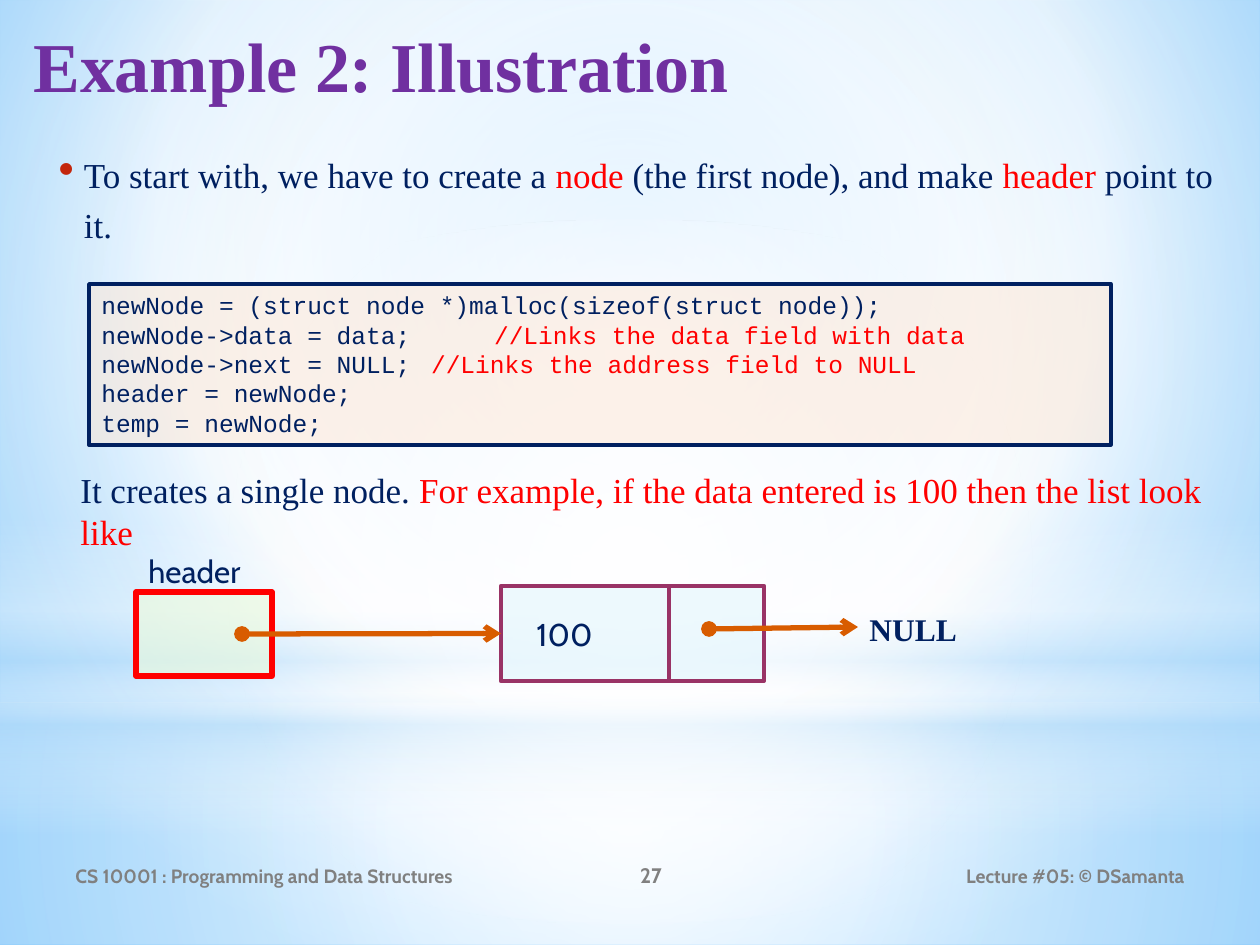
"""Build the slide that shows how the first node of a linked list is made."""
from dataclasses import dataclass, field
from typing import Any

from lxml import etree
from pptx import Presentation
from pptx import util as u
from pptx.dml.color import RGBColor
from pptx.enum import shapes, text
from pptx.oxml import ns

SCALE = 914400 / 126
NAVY = RGBColor(0x00, 0x20, 0x60)
RED = RGBColor(0xFF, 0x00, 0x00)
PURPLE = RGBColor(0x70, 0x30, 0xA0)
GREY = RGBColor(0x80, 0x80, 0x80)
PLUM = RGBColor(0x99, 0x33, 0x66)
RUST = RGBColor(0xD8, 0x5C, 0x00)
BRICK = RGBColor(0xC3, 0x26, 0x0C)
PEACH = RGBColor(0xFF, 0xE6, 0xD3)
ICE = RGBColor(0xDF, 0xF5, 0xFD)
LIME = RGBColor(0xED, 0xFB, 0xDC)
WHITE = RGBColor(0xFF, 0xFF, 0xFF)
SKY = RGBColor(0xB4, 0xDC, 0xFA)
PALE = RGBColor(0x9E, 0xD5, 0xFF)
AZURE = RGBColor(0x5B, 0xB9, 0xFF)

RECT = shapes.MSO_SHAPE.RECTANGLE
OVAL = shapes.MSO_SHAPE.OVAL
LEFT, MID, RIGHT = text.PP_ALIGN.LEFT, text.PP_ALIGN.CENTER, text.PP_ALIGN.RIGHT
GROW = {"auto_size": text.MSO_AUTO_SIZE.SHAPE_TO_FIT_TEXT}
CENTRE = {"vertical_anchor": text.MSO_ANCHOR.MIDDLE}

Area = tuple[int, int, int, int]
Stop = tuple[int, RGBColor, int]
Part = tuple[str, RGBColor]


@dataclass
class Glow:
    area: Area
    stops: list[Stop]
    focus: Area | None = (50, 50, 50, 50)
    kind: Any = RECT


@dataclass
class Box:
    area: Area
    fill: RGBColor
    alpha: int
    edge: RGBColor
    width: float


@dataclass
class Label:
    area: Area
    lines: list[list[Part]]
    size: int
    face: str = "Times New Roman"
    bold: bool = False
    align: Any = LEFT
    frame: dict = field(default_factory=dict)


@dataclass
class Link:
    start: tuple[int, int]
    end: tuple[int, int]
    color: RGBColor
    width: float
    arrow: bool = True


GLOWS = [
    Glow((0, 703, 1260, 242), [(0, WHITE, 91), (37, WHITE, 76), (100, SKY, 79)]),
    Glow((0, 0, 1260, 703), [(0, WHITE, 89), (48, WHITE, 62), (100, SKY, 79)]),
    Glow((0, 519, 1260, 315), [(0, WHITE, 0), (29, WHITE, 30), (45, SKY, 40),
                               (55, WHITE, 26), (65, SKY, 60), (100, WHITE, 0)], None),
    Glow((0, 220, 1260, 703), [(0, WHITE, 100), (56, WHITE, 0)], kind=OVAL),
]
FOOT = [
    Label((63, 850, 462, 51), [[("CS 10001 : Programming and Data Structures", GREY)]],
          11, "Cabin", True, LEFT, CENTRE),
    Label((525, 850, 252, 51), [[("27", GREY)]], 12, "Cabin", True, MID, CENTRE),
    Label((850, 850, 347, 51), [[("Lecture #05: © DSamanta", GREY)]],
          11, "Cabin", True, RIGHT, CENTRE),
]
INTRO = Label((40, 139, 1201, 139), [[
    ("To start with, we have to create a ", NAVY), ("node", RED),
    (" (the first node), and make ", NAVY), ("header", RED), (" point to it.", NAVY)]], 20)
CODE = Label((89, 284, 1022, 161), [
    [("newNode = (struct node *)malloc(sizeof(struct node));", NAVY)],
    [("newNode->data = data; \t ", NAVY), ("//Links the data field with data", RED)],
    [("newNode->next = NULL;\t ", NAVY), ("//Links the address field to NULL", RED)],
    [("header = newNode;", NAVY)],
    [("temp = newNode;", NAVY)]], 14, "Courier New", frame=GROW)
PANEL = Box(CODE.area, PEACH, 49, NAVY, 2)
NODE = Box((501, 586, 263, 95), ICE, 52, PLUM, 2.5)
HEAD = Box((136, 592, 136, 84), LIME, 61, RED, 3)
TO_NODE = Link((242, 634), (501, 633), RUST, 3)
OTHERS = [Link((669, 585), (669, 679), PLUM, 2.5, False),
          Link((709, 629), (858, 627), RUST, 3)]
NOTES = [
    Label((136, 546, 147, 50), [[("header", NAVY)]], 18, "Cabin", frame=GROW),
    Label((524, 609, 117, 50), [[("100", NAVY)]], 18, "Cabin", frame=GROW),
    Label((857, 604, 118, 50), [[("NULL", NAVY)]], 18, bold=True, frame=GROW),
    Label((68, 462, 1147, 97), [[
        ("It creates a single node. ", NAVY),
        ("For example, if the data entered is 100 then the list look like", RED)]],
        20, frame=GROW),
    Label((21, 16, 1201, 107), [[("Example 2: Illustration", PURPLE)]], 40, bold=True),
]


def px(*vals: int) -> list[u.Emu]:
    return [u.Emu(round(v * SCALE)) for v in vals]


def put(obj: Any, vals: dict) -> None:
    for key, val in vals.items():
        setattr(obj, key, val)


def sub(top: Any, tag: str, **vals: Any) -> Any:
    return etree.SubElement(top, ns.qn(tag), {k: str(v) for k, v in vals.items()})


def blend(top: Any, stops: list[Stop], focus: Area | None) -> None:
    old = top.find(ns.qn("a:solidFill"))
    grad = etree.Element(ns.qn("a:gradFill"), rotWithShape="1")
    items = sub(grad, "a:gsLst")
    for pos, color, alpha in stops:
        tint = sub(sub(items, "a:gs", pos=pos * 1000), "a:srgbClr", val=color)
        sub(tint, "a:alpha", val=alpha * 1000)
    if focus:
        sides = {k: v * 1000 for k, v in zip("ltrb", focus)}
        sub(sub(grad, "a:path", path="circle"), "a:fillToRect", **sides)
    else:
        sub(grad, "a:lin", ang=5400000, scaled=0)
    top.replace(old, grad)


def add_glow(slide: Any, glow: Glow) -> None:
    shape = slide.shapes.add_shape(glow.kind, *px(*glow.area))
    shape.shadow.inherit = False
    shape.line.fill.background()
    shape.fill.solid()
    blend(shape._element.spPr, glow.stops, glow.focus)


def add_box(slide: Any, box: Box) -> Any:
    shape = slide.shapes.add_shape(RECT, *px(*box.area))
    shape.shadow.inherit = False
    shape.fill.solid()
    shape.fill.fore_color.rgb = box.fill
    tint = shape._element.spPr.find(".//" + ns.qn("a:srgbClr"))
    sub(tint, "a:alpha", val=box.alpha * 1000)
    shape.line.color.rgb = box.edge
    shape.line.width = u.Pt(box.width)
    return shape


def write(shape: Any, label: Label) -> None:
    frame = shape.text_frame
    put(frame, {"word_wrap": True, "vertical_anchor": text.MSO_ANCHOR.TOP, **label.frame})
    for i, line in enumerate(label.lines):
        para = frame.add_paragraph() if i else frame.paragraphs[0]
        para.alignment = label.align
        for words, color in line:
            run = para.add_run()
            run.text = words
            put(run.font, {"name": label.face, "size": u.Pt(label.size), "bold": label.bold})
            run.font.color.rgb = color


def add_label(slide: Any, label: Label) -> Any:
    shape = slide.shapes.add_textbox(*px(*label.area))
    write(shape, label)
    return shape


def add_dot(para: Any) -> None:
    put(para, {"line_spacing": 1.2, "space_after": u.Pt(3)})
    props = para._p.get_or_add_pPr()
    put_in = {"marL": u.Inches(0.25), "indent": u.Inches(-0.2)}
    for key, val in put_in.items():
        props.set(key, str(val))
    sub(sub(props, "a:buClr"), "a:srgbClr", val=BRICK)
    sub(props, "a:buSzPct", val=130000)
    sub(props, "a:buChar", char="•")


def add_link(slide: Any, link: Link) -> Any:
    line = slide.shapes.add_connector(
        shapes.MSO_CONNECTOR.STRAIGHT, *px(*link.start, *link.end))
    line.line.color.rgb = link.color
    line.line.width = u.Pt(link.width)
    if link.arrow:
        edge = line.line._get_or_add_ln()
        sub(edge, "a:headEnd", type="oval")
        sub(edge, "a:tailEnd", type="arrow")
    sub(line._element.spPr, "a:effectLst")
    return line


def main() -> None:
    deck = Presentation()
    put(deck, dict(zip(("slide_width", "slide_height"), px(1260, 945))))
    slide = deck.slides.add_slide(deck.slide_layouts[6])
    slide.background.fill.solid()
    back = slide._element.find(".//" + ns.qn("p:bgPr"))
    blend(back, [(0, PALE, 100), (60, WHITE, 100), (100, AZURE, 100)], (20, 10, 20, 60))
    for glow in GLOWS:
        add_glow(slide, glow)
    for label in FOOT:
        add_label(slide, label)
    add_dot(add_label(slide, INTRO).text_frame.paragraphs[0])
    write(add_box(slide, PANEL), CODE)
    node = add_box(slide, NODE)
    add_box(slide, HEAD)
    add_link(slide, TO_NODE).end_connect(node, 1)
    for link in OTHERS:
        add_link(slide, link)
    for label in NOTES:
        add_label(slide, label)
    deck.save("out.pptx")


if __name__ == "__main__":
    main()
